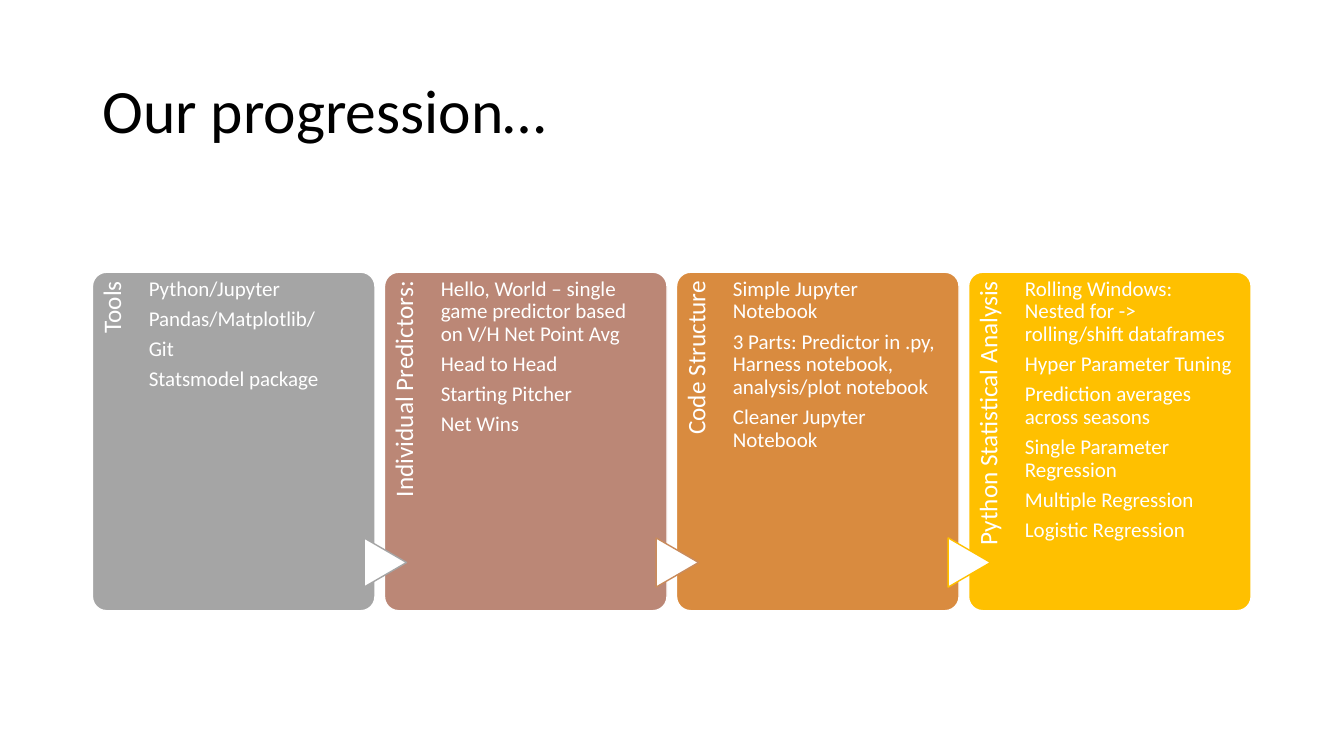
from pptx import Presentation
from pptx import util as u
from pptx.dml.color import RGBColor
from pptx.enum import shapes, text

FONT = "Calibri"
WHITE = "FFFFFF"
CARD_LEFT, CARD_TOP = 2.33, 6.86
CARD_WIDTH, CARD_HEIGHT = 7.12, 8.53
CARD_PITCH = 7.36

# heading, card colour, outline of the arrow leading in, points
STAGES = [
    ("Tools", "A5A5A5", None,
     ["Python/Jupyter", "Pandas/Matplotlib/", "Git", "Statsmodel package"]),
    ("Individual Predictors:", "BB8776", "A5A5A5",
     ["Hello, World – single game predictor based on V/H Net Point Avg",
      "Head to Head", "Starting Pitcher", "Net Wins"]),
    ("Code Structure", "D98B3F", "C98B5C",
     ["Simple Jupyter Notebook",
      "3 Parts: Predictor in .py, Harness notebook, analysis/plot notebook",
      "Cleaner Jupyter Notebook"]),
    ("Python Statistical Analysis", "FFC000", "FFC000",
     ["Rolling Windows: Nested for -> rolling/shift dataframes",
      "Hyper Parameter Tuning", "Prediction averages across seasons",
      "Single Parameter Regression", "Multiple Regression",
      "Logistic Regression"]),
]


def colour(value):
    return RGBColor.from_string(value)


def lengths(*values):
    return [u.Cm(value) for value in values]


def write(frame, lines, size, ink, align=text.PP_ALIGN.LEFT, after=0.0):
    frame.word_wrap = True
    for index, line in enumerate(lines):
        para = frame.paragraphs[0] if index == 0 else frame.add_paragraph()
        para.text = line
        para.alignment = align
        para.line_spacing = 0.9
        para.space_after = u.Pt(after)
        para.font.name = FONT
        para.font.size = u.Pt(size)
        para.font.color.rgb = colour(ink)


def set_title(page, words):
    title = page.shapes.title
    title.left, title.top, title.width, title.height = lengths(
        2.33, 1.01, 29.21, 3.68)
    title.text_frame.vertical_anchor = text.MSO_ANCHOR.MIDDLE
    write(title.text_frame, [words], 44, "000000")


def add_filled(page, kind, place, fill, outline):
    shape = page.shapes.add_shape(kind, *lengths(*place))
    shape.shadow.inherit = False
    shape.fill.solid()
    shape.fill.fore_color.rgb = colour(fill)
    shape.line.color.rgb = colour(outline)
    shape.line.width = u.Pt(1)
    return shape


def add_text(page, place, insets, lines, size, align, after):
    """Add a white text box; insets run left, top, right, bottom."""
    box = page.shapes.add_textbox(*lengths(*place))
    frame = box.text_frame
    (frame.margin_left, frame.margin_top,
     frame.margin_right, frame.margin_bottom) = lengths(*insets)
    write(frame, lines, size, WHITE, align, after)
    return box


def add_stage(page, left, heading, fill, arrow_outline, points):
    card = add_filled(page, shapes.MSO_SHAPE.ROUNDED_RECTANGLE,
                      (left, CARD_TOP, CARD_WIDTH, CARD_HEIGHT), fill, WHITE)
    card.adjustments[0] = 0.05
    label = add_text(page, (left - 2.79, 9.64, 6.99, 1.42),
                     (0, 0.18, 0.23, 0), [heading], 18,
                     text.PP_ALIGN.RIGHT, 6.3)
    label.rotation = 270
    if arrow_outline:
        arrow = add_filled(page, shapes.MSO_SHAPE.FLOWCHART_EXTRACT,
                           (left - 0.6, 13.64, 1.24, 1.07),
                           WHITE, arrow_outline)
        arrow.rotation = 90
    add_text(page, (left + 1.42, CARD_TOP, 5.31, CARD_HEIGHT),
             (0, 0.15, 0, 0), points, 15, text.PP_ALIGN.LEFT, 5.25)


def main():
    deck = Presentation()
    deck.slide_width, deck.slide_height = lengths(33.87, 19.05)
    page = deck.slides.add_slide(deck.slide_layouts.get_by_name("Title Only"))
    set_title(page, "Our progression…")
    for index, stage in enumerate(STAGES):
        add_stage(page, CARD_LEFT + index * CARD_PITCH, *stage)
    deck.save("out.pptx")


if __name__ == "__main__":
    main()
